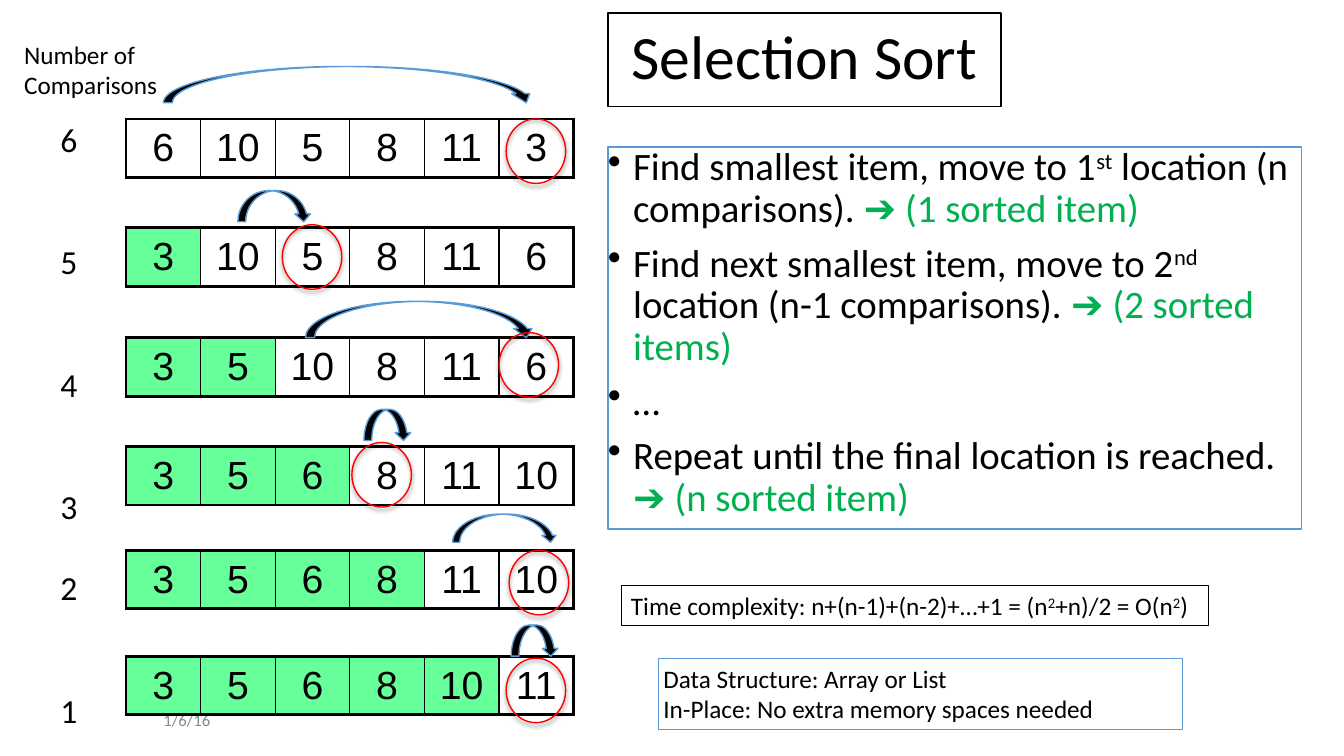
"""Build the Selection Sort slide."""
from lxml.etree import SubElement as Sub
from pptx import Presentation
from pptx.dml.color import RGBColor
from pptx.enum.shapes import MSO_SHAPE as Kind
from pptx.enum.text import MSO_ANCHOR as Anchor, PP_ALIGN as Align
from pptx.oxml.ns import qn
from pptx.util import Inches, Pt

BLACK, GREEN, BLUE, RED = "000000", "00B050", "5B9BD5", "FF0000"
DONE, OPEN = "66FF99", "FFFFFF"
LEFT, CELL, TALL = 1.25, 0.74, 0.58

# Each step: row top, values, arrow box, ring corner.
STEPS = [
    (1.18, (6, 10, 5, 8, 11, 3), (1.62, 0.66, 3.69, 0.36), (5.02, 1.18)),
    (2.26, (3, 10, 5, 8, 11, 6), (2.36, 1.89, 0.73, 0.31), (2.8, 2.23)),
    (3.35, (3, 5, 10, 8, 11, 6), (3.03, 2.99, 2.28, 0.36), (4.95, 3.3)),
    (4.43, (3, 5, 6, 8, 11, 10), (3.61, 4.06, 0.47, 0.31), (3.49, 4.39)),
    (5.46, (3, 5, 6, 8, 11, 10), (4.49, 5.1, 1.04, 0.28), (5.05, 5.46)),
    (6.51, (3, 5, 6, 8, 10, 11), (5.07, 6.2, 0.47, 0.31), (5.02, 6.53)),
]
COUNTS = [("6", 0), ("5", 2), ("4", 2), ("3", 2), ("2", 1), ("1", 2)]
LINE = 29.3
RULES = [
    ("Find smallest item, move to 1^st^ location (n comparisons). ", "➔ (1 sorted item)"),
    ("Find next smallest item, move to 2^nd^ location (n-1 comparisons). ",
     "➔ (2 sorted items)"),
    ("… ", ""),
    ("Repeat until the final location is reached. ", "➔ (n sorted item)"),
]
COST = "Time complexity: n+(n-1)+(n-2)+…+1 = (n^2^+n)/2 = O(n^2^)"
NOTES = ["Data Structure: Array or List", "In-Place: No extra memory spaces needed"]

deck = Presentation()
deck.slide_width, deck.slide_height = Inches(13.33), Inches(7.5)
slide = deck.slides.add_slide(deck.slide_layouts[6])
shapes = slide.shapes


def color(code):
    return RGBColor.from_string(code)


def paint(fill, code):
    fill.solid()
    fill.fore_color.rgb = color(code)


def draw(kind, box, line=None, fill=None, width=1):
    shape = shapes.add_shape(kind, *map(Inches, box))
    shape.shadow.inherit = False
    if fill:
        paint(shape.fill, fill)
    else:
        shape.fill.background()
    shape.line.color.rgb = color(line)
    shape.line.width = Pt(width)
    return shape


def style(para, size, code=BLACK, face="Calibri", align=Align.LEFT):
    font = para.font
    font.size, font.name, font.color.rgb = Pt(size), face, color(code)
    para.alignment = align


def pad(frame, side, top, anchor=Anchor.TOP, wrap=True):
    frame.margin_left = frame.margin_right = Inches(side)
    frame.margin_top = frame.margin_bottom = Inches(top)
    frame.vertical_anchor, frame.word_wrap = anchor, wrap


def add_runs(para, text, code=BLACK):
    for i, part in enumerate(text.split("^")):
        if part:
            run = para.add_run()
            run.text = part
            run.font.color.rgb = color(code)
            if i % 2:
                run._r.get_or_add_rPr().set("baseline", "30000")


def write(frame, lines, size, code=BLACK, align=Align.LEFT):
    for i, text in enumerate(lines):
        para = frame.add_paragraph() if i else frame.paragraphs[0]
        style(para, size, code, align=align)
        add_runs(para, text, code)
    return frame.paragraphs


def label(box, lines, size, code=BLACK, inset=0, anchor=Anchor.TOP, wrap=False):
    frame = shapes.add_textbox(*map(Inches, box)).text_frame
    pad(frame, inset, inset, anchor, wrap)
    return write(frame, lines, size, code)


def edge(cell, side, width):
    line = Sub(cell._tc.get_or_add_tcPr(), qn("a:ln" + side), w=str(Pt(width)))
    Sub(Sub(line, qn("a:solidFill")), qn("a:srgbClr"), val=BLACK)


def add_row(top, values, done):
    count = len(values)
    box = (LEFT, top, CELL * count, TALL)
    table = shapes.add_table(1, count, *map(Inches, box)).table
    table.first_row = table.horz_banding = False
    for i, value in enumerate(values):
        table.columns[i].width = Inches(CELL)
        cell = table.cell(0, i)
        edge(cell, "L", 1 if i else 2.25)
        edge(cell, "R", 1 if i < count - 1 else 2.25)
        edge(cell, "T", 2.25)
        edge(cell, "B", 2.25)
        paint(cell.fill, DONE if i < done else OPEN)
        cell.margin_left = cell.margin_right = Inches(0.05)
        cell.margin_top = cell.margin_bottom = Inches(0.05)
        cell.vertical_anchor = Anchor.MIDDLE
        cell.text = str(value)
        para = cell.text_frame.paragraphs[0]
        style(para, 28, face="Arial", align=Align.CENTER)
        para.space_before = Pt(6)


def add_ring(left, top):
    ring = draw(Kind.OVAL, (left, top, 0.59, 0.64), RED)
    glow = Sub(ring._element.spPr.find(qn("a:effectLst")), qn("a:outerShdw"),
               blurRad=str(Pt(3)), dist=str(Pt(2)), dir="5400000", rotWithShape="0")
    Sub(Sub(glow, qn("a:srgbClr"), val=BLACK), qn("a:alpha"), val="50000")


title = draw(Kind.RECTANGLE, (6.03, 0.13, 3.9, 0.93), BLACK).text_frame
pad(title, 0, 0, Anchor.MIDDLE)
write(title, ["Selection Sort"], 44, align=Align.CENTER)[0].line_spacing = 0.9

label((1.62, 7, 3, 0.29), ["1/6/16"], 12, "888888", anchor=Anchor.MIDDLE, wrap=True)
label((0.19, 0.34, 1.43, 0.71), ["Number of", "Comparisons"], 18, inset=0.05)
marks = label((0.6, 1.18, 0.17, 6.06), [mark for mark, gap in COUNTS], 24)
for para, (mark, gap) in zip(marks, COUNTS):
    para.space_before = Pt(gap * LINE)

for done, (top, values, arrow, ring) in enumerate(STEPS):
    add_row(top, values, done)
    draw(Kind.CURVED_DOWN_ARROW, arrow, BLUE, BLACK)
    add_ring(*ring)

body = draw(Kind.RECTANGLE, (6.03, 1.46, 6.88, 3.79), BLUE).text_frame
pad(body, 0, 0)
for para, (rule, gain) in zip(write(body, [rule for rule, gain in RULES], 27.7), RULES):
    add_runs(para, gain, GREEN)
    para.line_spacing, para.space_before = 0.9, Pt(9)
    props = para._p.get_or_add_pPr()
    props.set("marL", str(Inches(0.25)))
    props.set("indent", str(-Inches(0.25)))
    bullet = props.makeelement(qn("a:buChar"), {"char": "•"})
    props.find(qn("a:spcBef")).addnext(bullet)

cost = draw(Kind.RECTANGLE, (6.16, 5.81, 5.83, 0.4), BLACK, width=0.75).text_frame
pad(cost, 0.1, 0.05)
write(cost, [COST], 18)[0].space_before = Pt(9)

notes = draw(Kind.RECTANGLE, (6.53, 6.53, 5.2, 0.71), BLUE).text_frame
pad(notes, 0.05, 0.05)
write(notes, NOTES, 18)

deck.save("out.pptx")
